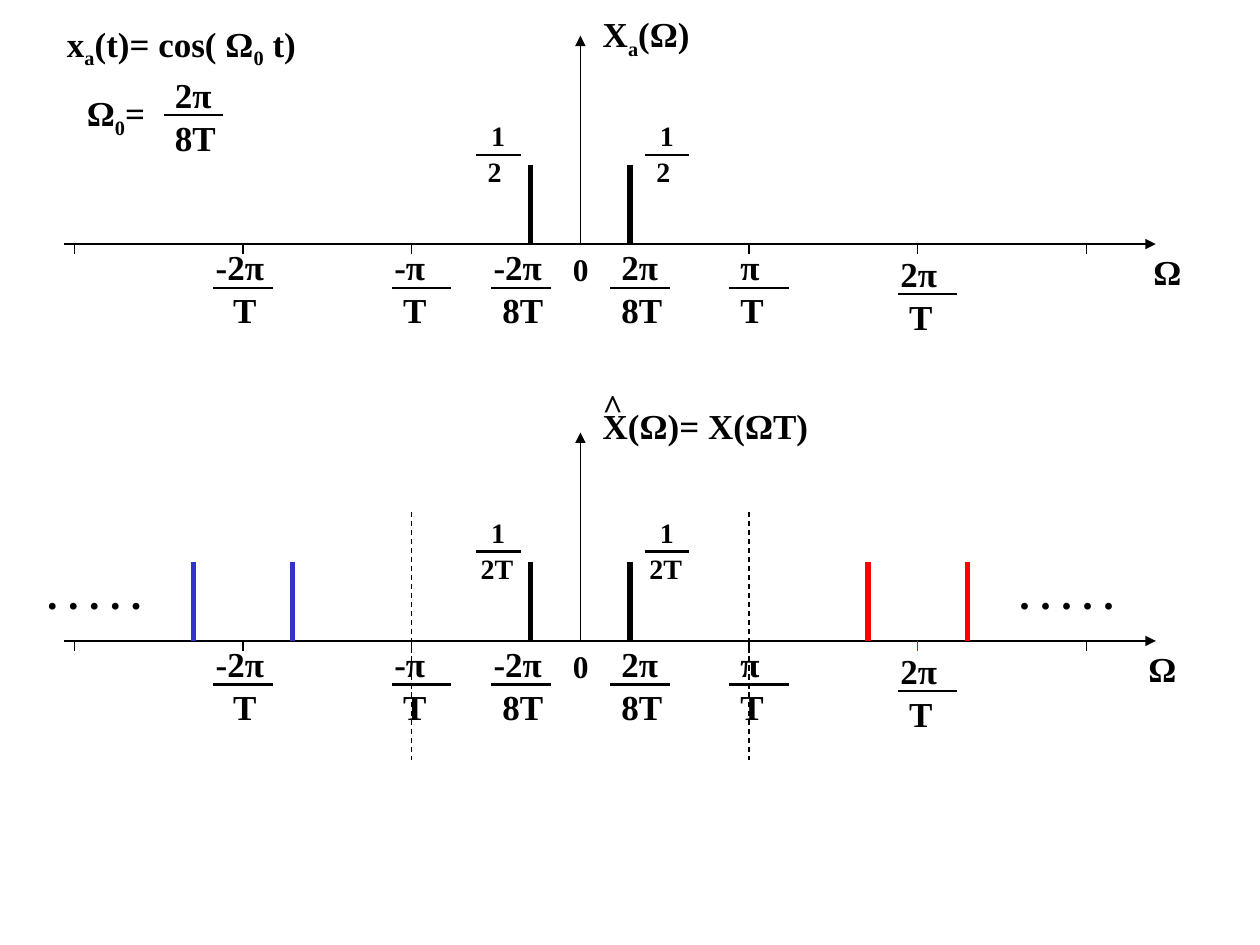
"""Build the slide comparing the spectra of a cosine before and after sampling."""
from pptx import Presentation
from pptx import util as u
from pptx.dml.color import RGBColor
from pptx.enum import dml, shapes, text
from pptx.oxml.ns import qn
from lxml import etree

BLACK = RGBColor(0x00, 0x00, 0x00)
RED = RGBColor(0xFF, 0x00, 0x00)
BLUE = RGBColor(0x33, 0x33, 0xCC)
FONT = "Times New Roman"

ORIGIN = 11.7
PERIOD = 6.8
AXIS_Y = 4.92
PLOT_GAP = 8


def add_line(parent, x1, y1, x2, y2, width=0.75, color=BLACK, arrow=False, dash=False):
    c = parent.add_connector(shapes.MSO_CONNECTOR.STRAIGHT,
                             u.Cm(x1), u.Cm(y1), u.Cm(x2), u.Cm(y2))
    c.line.color.rgb = color
    c.line.width = u.Pt(width)
    if dash:
        c.line.dash_style = dml.MSO_LINE.DASH
    if arrow:
        etree.SubElement(c.line._get_or_add_ln(), qn("a:tailEnd"), type="triangle")
    etree.SubElement(c._element.spPr, qn("a:effectLst"))


def add_text(parent, x, y, w, h, lines, size=20, spacing=None, before=0):
    """Write (indent, wording) lines; wording between underscores is subscript."""
    tf = parent.add_textbox(u.Cm(x), u.Cm(y), u.Cm(w), u.Cm(h)).text_frame
    tf.word_wrap = True
    tf.auto_size = text.MSO_AUTO_SIZE.SHAPE_TO_FIT_TEXT
    for i, (indent, wording) in enumerate(lines):
        p = tf.add_paragraph() if i else tf.paragraphs[0]
        if indent:
            p._p.get_or_add_pPr().set("marL", str(u.Pt(indent)))
        if i:
            p.space_before = u.Pt(before)
        p.line_spacing = spacing
        for j, part in enumerate(wording.split("_")):
            r = p.add_run()
            r.text = part
            if j % 2:
                r.font._element.set("baseline", "-25000")
        p.font.name = FONT
        p.font.size = u.Pt(size)
        p.font.bold = True
        p.font.color.rgb = BLACK


prs = Presentation()
prs.slide_width, prs.slide_height = u.Cm(25.4), u.Cm(19.05)
s = prs.slides.add_slide(prs.slide_layouts[6])
sp = s.shapes

fractions = [(3.1, 2.32, (5, "2π"), (5, "8T"))]
amplitudes = []
plots = [
    (AXIS_Y, 23, (8, "2"), BLACK, [(0, BLACK)]),
    (AXIS_Y + PLOT_GAP, 22.9, (4, "2T"), RED, [(0, BLACK), (-PERIOD, BLUE), (PERIOD, RED)]),
]
for axis, omega_x, divisor, period_color, images in plots:
    add_line(sp, 1.3, axis, 23.3, axis, arrow=True)
    add_line(sp, ORIGIN, axis, ORIGIN, axis - 4.2, arrow=True)
    for n in (-3, -2, -1, 1, 2, 3):
        x = ORIGIN + n * PERIOD / 2
        add_line(sp, x, axis, x, axis + 0.2, color=period_color if n == 2 else BLACK)
    for shift, color in images:
        for side in (-1, 1):
            x = ORIGIN + shift + side
            add_line(sp, x, axis - 1.6, x, axis, width=3, color=color)
    add_text(sp, 11.3, axis, 2, 1.02, [(0, "0")], size=18)
    add_text(sp, omega_x, axis, 2.4, 1.12, [(0, "Ω")])
    bar = axis + 0.88
    fractions += [
        (4.1, bar, (0, "-2π"), (10, "T")),
        (7.7, bar, (0, "-π"), (5, "T")),
        (9.7, bar, (0, "-2π"), (5, "8T")),
        (12.1, bar, (5, "2π"), (5, "8T")),
        (14.5, bar, (5, "π"), (5, "T")),
        (17.9, bar + 0.13, (0, "2π"), (5, "T")),
    ]
    amplitudes += [(x, axis - 1.8, (10, "1"), divisor) for x in (9.3, 12.7)]

for x, bar, top, bottom in fractions:
    g = sp.add_group_shape().shapes
    add_text(g, x, bar - 0.6, 2.4, 1.55, [top, bottom], spacing=0.5, before=12.5)
    add_line(g, x + 0.2, bar, x + 1.4, bar, width=1.25)

for x, bar, top, bottom in amplitudes:
    g = sp.add_group_shape().shapes
    add_text(g, x, bar - 0.56, 2.4, 1.37, [top, bottom], size=16, spacing=0.5, before=11)
    add_line(g, x + 0.3, bar, x + 1.2, bar, width=1.25)

for x in (ORIGIN - PERIOD / 2, ORIGIN + PERIOD / 2):
    add_line(sp, x, 10.32, x, 15.32, dash=True)

for x, y, w, wording in [
    (1.1, 0.32, 7.8, "x_a_(t)= cos( Ω_0_ t)"),
    (1.5, 1.72, 2.4, "Ω_0_="),
    (11.9, 0.13, 2.4, "X_a_(Ω)"),
    (11.9, 8.02, 6.2, "X(Ω)= X(ΩT)"),
    (11.9, 7.62, 2.4, "^"),
]:
    add_text(sp, x, y, w, 1.2 if "_" in wording else 1.12, [(0, wording)])

for x in (0.7, 20.3):
    add_text(sp, x, 11.32, 3, 1.27, [(0, ". . . . .")], size=24)

prs.save("out.pptx")
